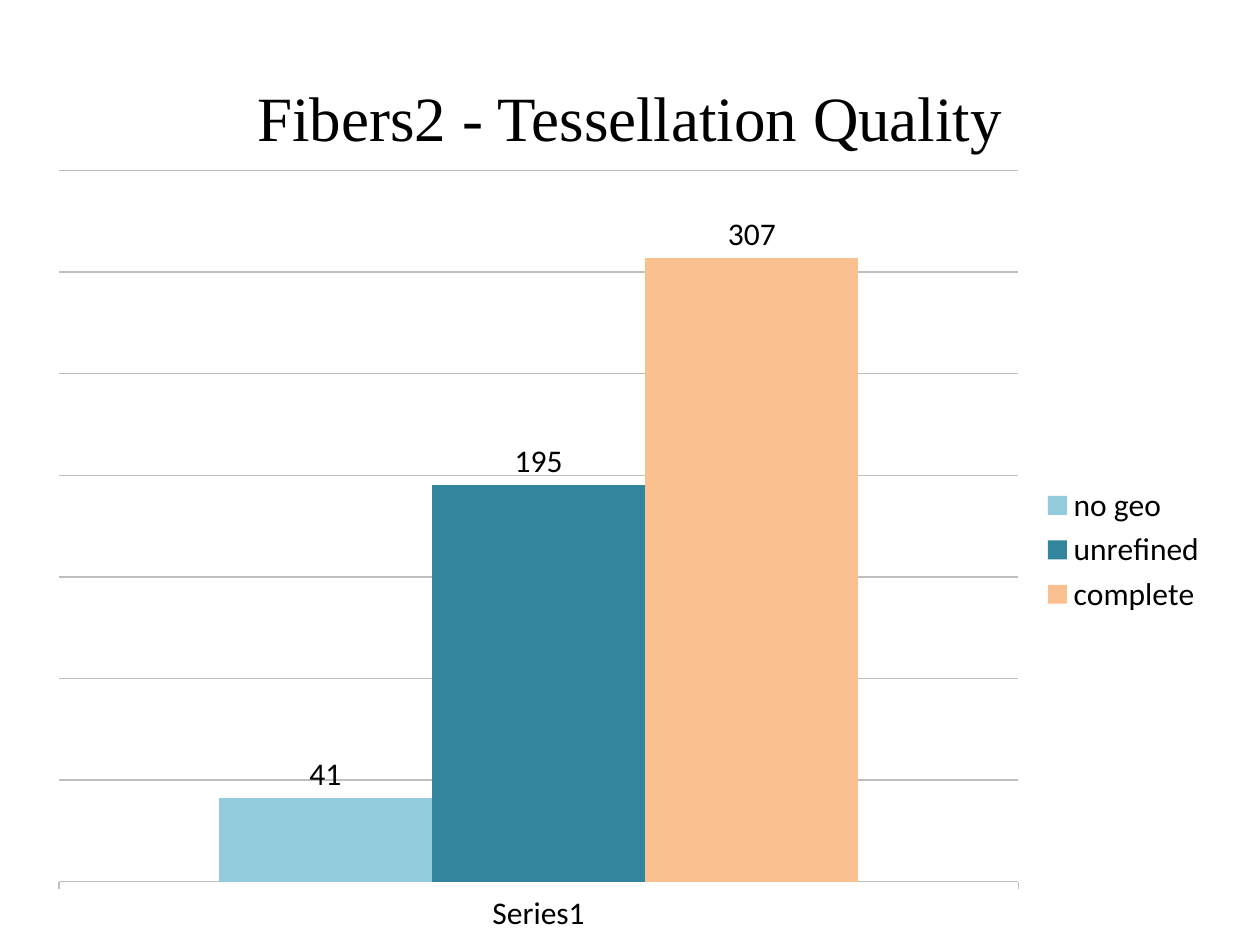
from pptx import Presentation
from pptx.chart.data import CategoryChartData
from pptx.dml.color import RGBColor
from pptx.enum.chart import XL_CHART_TYPE, XL_LABEL_POSITION, XL_LEGEND_POSITION, XL_TICK_MARK
from pptx.enum.text import MSO_ANCHOR, PP_ALIGN
from pptx.oxml import parse_xml
from pptx.oxml.ns import nsdecls
from pptx.util import Cm, Pt


def color(code):
    """Turn a hex string into a colour."""
    return RGBColor.from_string(code)


def style(font, size=18, face="Calibri", ink="000000"):
    """Set size, face and colour of a font."""
    font.size, font.name = Pt(size), face
    font.color.rgb = color(ink)


def write(frame, text, align=PP_ALIGN.CENTER, **form):
    """Put formatted text in a text frame."""
    line = frame.paragraphs[0]
    line.alignment = align
    run = line.add_run()
    run.text = text
    style(run.font, **form)


def place(plot, **box):
    """Fix the inner plot area as fractions of the chart."""
    parts = "".join(f'<c:{key} val="{val}"/>' for key, val in box.items())
    old = plot.find("{*}layout")
    if old is not None:
        plot.remove(old)
    plot.insert(0, parse_xml(
        f'<c:layout {nsdecls("c")}><c:manualLayout><c:layoutTarget val="inner"/>'
        f'<c:xMode val="edge"/><c:yMode val="edge"/>{parts}'
        '</c:manualLayout></c:layout>'))


class Deck:
    """Hold the slide and its shared style."""

    grey = "BFBFBF"

    def __init__(self, wide, high):
        """Start a deck with one blank slide."""
        self.show = Presentation()
        self.show.slide_width, self.show.slide_height = Cm(wide), Cm(high)
        self.slide = self.show.slides.add_slide(self.show.slide_layouts[6])

    def title(self, text, box, **form):
        """Add a centred title."""
        frame = self.slide.shapes.add_textbox(*map(Cm, box)).text_frame
        frame.word_wrap = True
        frame.vertical_anchor = MSO_ANCHOR.MIDDLE
        write(frame, text, **form)

    def rule(self, line):
        """Style an axis line or grid line."""
        line.color.rgb = color(self.grey)
        line.width = Pt(0.75)

    def columns(self, group, bars, box):
        """Add a column chart from (name, value, fill) bars."""
        data = CategoryChartData()
        data.categories = [group]
        for name, value, _ in bars:
            data.add_series(name, [value])
        chart = self.slide.shapes.add_chart(
            XL_CHART_TYPE.COLUMN_CLUSTERED, *map(Cm, box), data).chart
        chart.has_title = False
        style(chart.font)
        chart.has_legend = True
        chart.legend.position = XL_LEGEND_POSITION.RIGHT
        chart.legend.include_in_layout = False
        base, scale = chart.category_axis, chart.value_axis
        base.major_tick_mark = XL_TICK_MARK.OUTSIDE
        self.rule(base.format.line)
        scale.minimum_scale, scale.maximum_scale, scale.major_unit = 0, 350, 50
        scale.visible = False
        self.rule(scale.major_gridlines.format.line)
        plot = chart.plots[0]
        plot.vary_by_categories = False
        plot.gap_width, plot.overlap = 150, 0
        for part, (_, _, fill) in zip(plot.series, bars):
            part.format.fill.solid()
            part.format.fill.fore_color.rgb = color(fill)
            tags = part.data_labels
            tags.show_value = True
            tags.position = XL_LABEL_POSITION.OUTSIDE_END
            style(tags.font)
        place(chart.element.find(".//{*}plotArea"), x=0.02, y=0.02, w=0.81, h=0.9)

    def save(self):
        """Write the file."""
        self.show.save("out.pptx")


deck = Deck(25.4, 19.05)
deck.title("Fibers2 - Tessellation Quality", (1.27, 0.76, 22.86, 3.18),
           size=36, face="Times New Roman")
deck.columns("Series1", [
    ("no geo", 41, "93CDDD"),
    ("unrefined", 195, "31859C"),
    ("complete", 307, "FAC090"),
], (0.71, 3.12, 23.88, 15.93))
deck.save()
